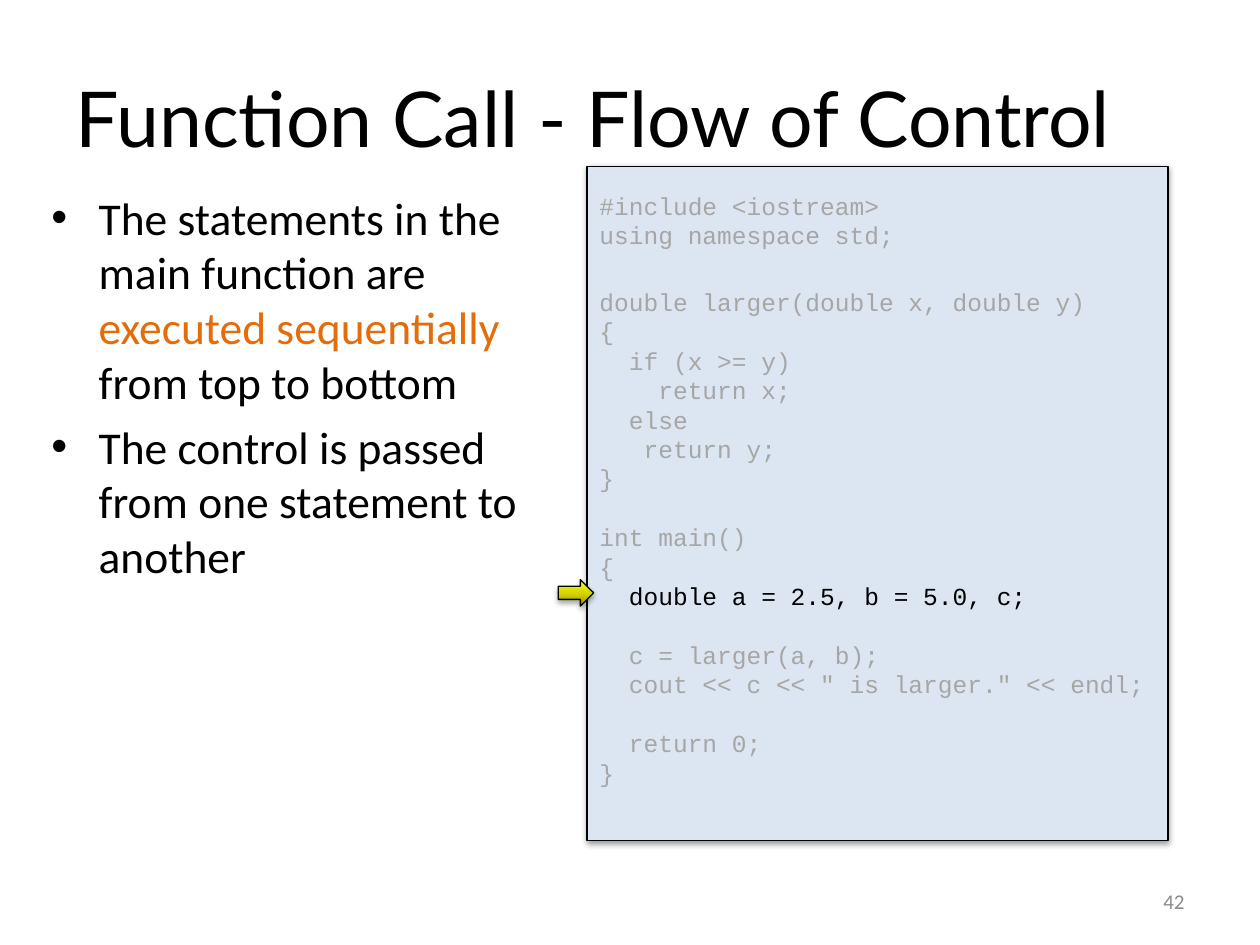
import copy

import pptx
import pptx.dml.color
import pptx.enum.shapes
import pptx.enum.text
import pptx.oxml
import pptx.oxml.ns
import pptx.util

Pt = pptx.util.Pt
RGBColor = pptx.dml.color.RGBColor
SHAPES = pptx.enum.shapes.MSO_SHAPE
ALIGN = pptx.enum.text.PP_ALIGN
ANCHOR = pptx.enum.text.MSO_ANCHOR
qn = pptx.oxml.ns.qn

BLACK = RGBColor(0x00, 0x00, 0x00)
ORANGE = RGBColor(0xE4, 0x6C, 0x0A)
PALE_BLUE = RGBColor(0xDC, 0xE6, 0xF2)
DIMMED = RGBColor(0xA6, 0xA6, 0xA6)
PAGE_GREY = RGBColor(0x8B, 0x8B, 0x8B)
YELLOWS = [
    RGBColor(0x97, 0x97, 0x00),
    RGBColor(0xD6, 0xD6, 0x00),
    RGBColor(0xFF, 0xFF, 0x00),
]


def add_text(paragraph, text, color, style):
    run = paragraph.add_run()
    run.text = text
    run.font.color.rgb = color
    for attribute, value in style.items():
        setattr(run.font, attribute, value)


def outline_and_shadow(shape, distance, opacity):
    shape.line.color.rgb = BLACK
    shape.line.width = Pt(0.75)
    shape.shadow.inherit = False
    effects = shape._element.spPr.find(qn("a:effectLst"))
    effects.append(pptx.oxml.parse_xml(
        f'<a:outerShdw {pptx.oxml.ns.nsdecls("a")} blurRad="{Pt(3.1)}" '
        f'dist="{Pt(distance)}" dir="5400000" rotWithShape="0">'
        f'<a:srgbClr val="{BLACK}"><a:alpha val="{opacity * 1000}"/></a:srgbClr>'
        "</a:outerShdw>"))


deck = pptx.Presentation()
deck.slide_width, deck.slide_height = Pt(720), Pt(540)
slide = deck.slides.add_slide(deck.slide_layouts[5])

title = slide.shapes.title
title.left, title.top, title.width, title.height = Pt(36), Pt(21.6), Pt(648), Pt(90)
title.text_frame.vertical_anchor = ANCHOR.MIDDLE
heading = title.text_frame.paragraphs[0]
heading.alignment = ALIGN.LEFT
add_text(heading, "Function Call - Flow of Control", BLACK, {"name": "Lato", "size": Pt(44)})

points = [
    [
        ("The statements in the main function are ", BLACK),
        ("executed sequentially ", ORANGE),
        ("from top to bottom", BLACK),
    ],
    [("The control is passed from one statement to another", BLACK)],
]
explanation = slide.shapes.add_textbox(Pt(22.3), Pt(105), Pt(292.3), Pt(385)).text_frame
explanation.word_wrap = True
for index, pieces in enumerate(points):
    point = explanation.add_paragraph() if index else explanation.paragraphs[0]
    properties = point._p.get_or_add_pPr()
    properties.set("marL", str(Pt(27)))
    properties.set("indent", str(Pt(-27)))
    for bullet in ('<a:buFont {} typeface="Arial"/>', '<a:buChar {} char="•"/>'):
        properties.append(pptx.oxml.parse_xml(bullet.format(pptx.oxml.ns.nsdecls("a"))))
    if index:
        point.space_before = Pt(6)
    for text, color in pieces:
        add_text(point, text, color, {"name": "Calibri", "size": Pt(26)})

LINE_GAP = 16.8
SECTION_GAP = 21.5
code_lines = [
    ("#include <iostream>", 0),
    ("using namespace std;", 0),
    ("double larger(double x, double y)", SECTION_GAP),
    ("{", 0),
    ("  if (x >= y)", 0),
    ("    return x;", 0),
    ("  else", 0),
    ("   return y;", 0),
    ("}", 0),
    ("int main()", LINE_GAP),
    ("{", 0),
    ("  double a = 2.5, b = 5.0, c;", 0),
    ("  c = larger(a, b);", LINE_GAP),
    ('  cout << c << " is larger." << endl;', 0),
    ("  return 0;", LINE_GAP),
    ("}", 0),
]
CURRENT_LINE = 11
listing = slide.shapes.add_shape(SHAPES.RECTANGLE, Pt(335.5), Pt(95), Pt(332), Pt(385.2))
listing.fill.solid()
listing.fill.fore_color.rgb = PALE_BLUE
outline_and_shadow(listing, 1.6, 38)
code = listing.text_frame
frame_format = {
    "word_wrap": True,
    "vertical_anchor": ANCHOR.TOP,
    "margin_top": Pt(13.9),
    "margin_left": Pt(7.2),
    "margin_right": Pt(7.2),
}
for attribute, value in frame_format.items():
    setattr(code, attribute, value)
for index, (text, gap) in enumerate(code_lines):
    line = code.add_paragraph() if index else code.paragraphs[0]
    line.alignment = ALIGN.LEFT
    if gap:
        line.space_before = Pt(gap)
    color = BLACK if index == CURRENT_LINE else DIMMED
    add_text(line, text, color, {"name": "Courier New", "size": Pt(14)})

pointer = slide.shapes.add_shape(SHAPES.RIGHT_ARROW, Pt(319), Pt(331.2), Pt(20.2), Pt(15.1))
pointer.fill.gradient()
pointer.fill.gradient_angle = 90
stop_list = pointer._element.spPr.find(".//" + qn("a:gsLst"))
stop_list.insert(1, copy.deepcopy(stop_list[0]))
for stop, color, position in zip(pointer.fill.gradient_stops, YELLOWS, (0, 0.5, 1)):
    stop.color.rgb = color
    stop.position = position
outline_and_shadow(pointer, 1.8, 35)

page = slide.shapes.add_textbox(Pt(516), Pt(500.5), Pt(168), Pt(28.8)).text_frame
page.word_wrap = True
page.vertical_anchor = ANCHOR.MIDDLE
page.paragraphs[0].alignment = ALIGN.RIGHT
add_text(page.paragraphs[0], "42", PAGE_GREY, {"name": "Calibri", "size": Pt(12)})

deck.save("out.pptx")
